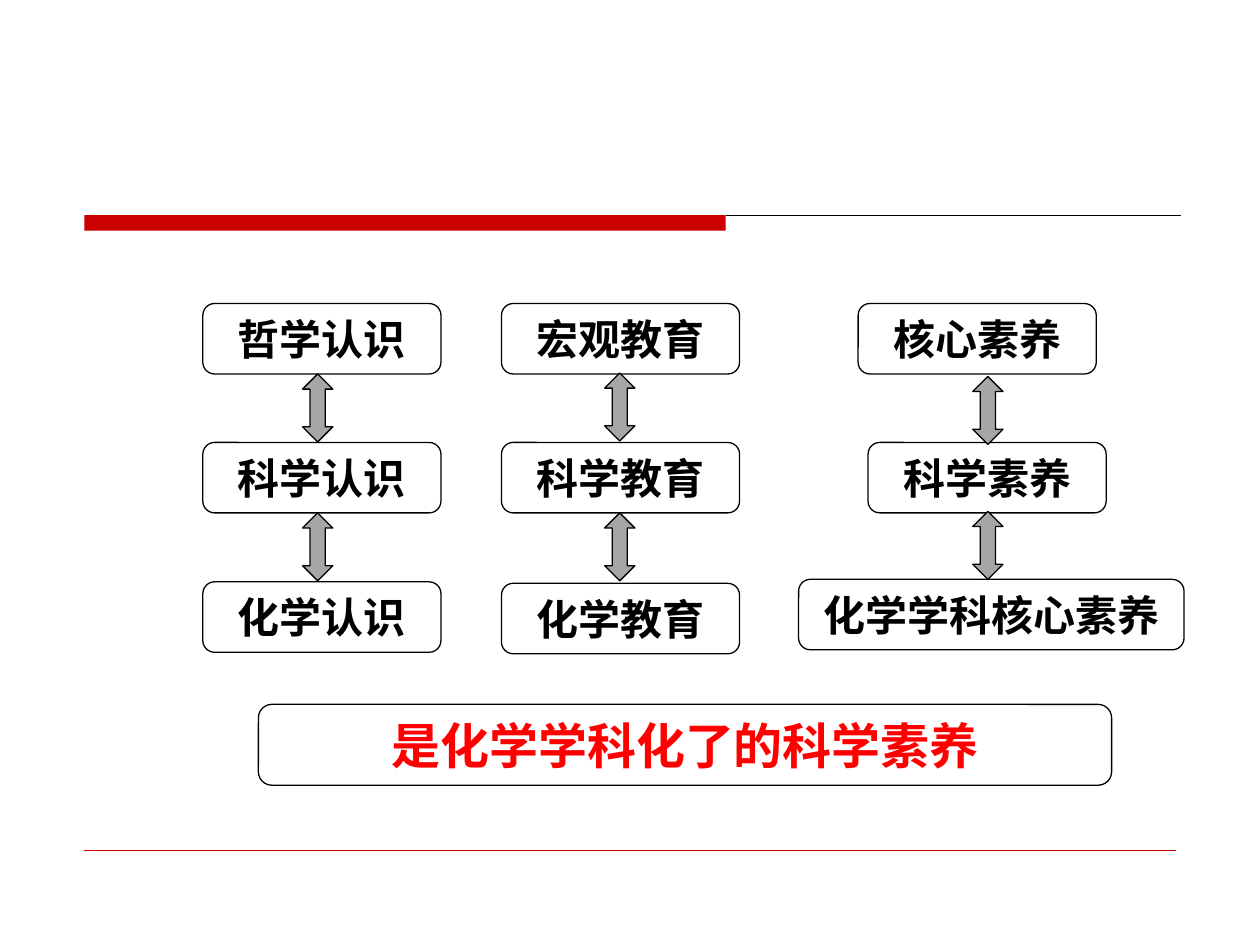
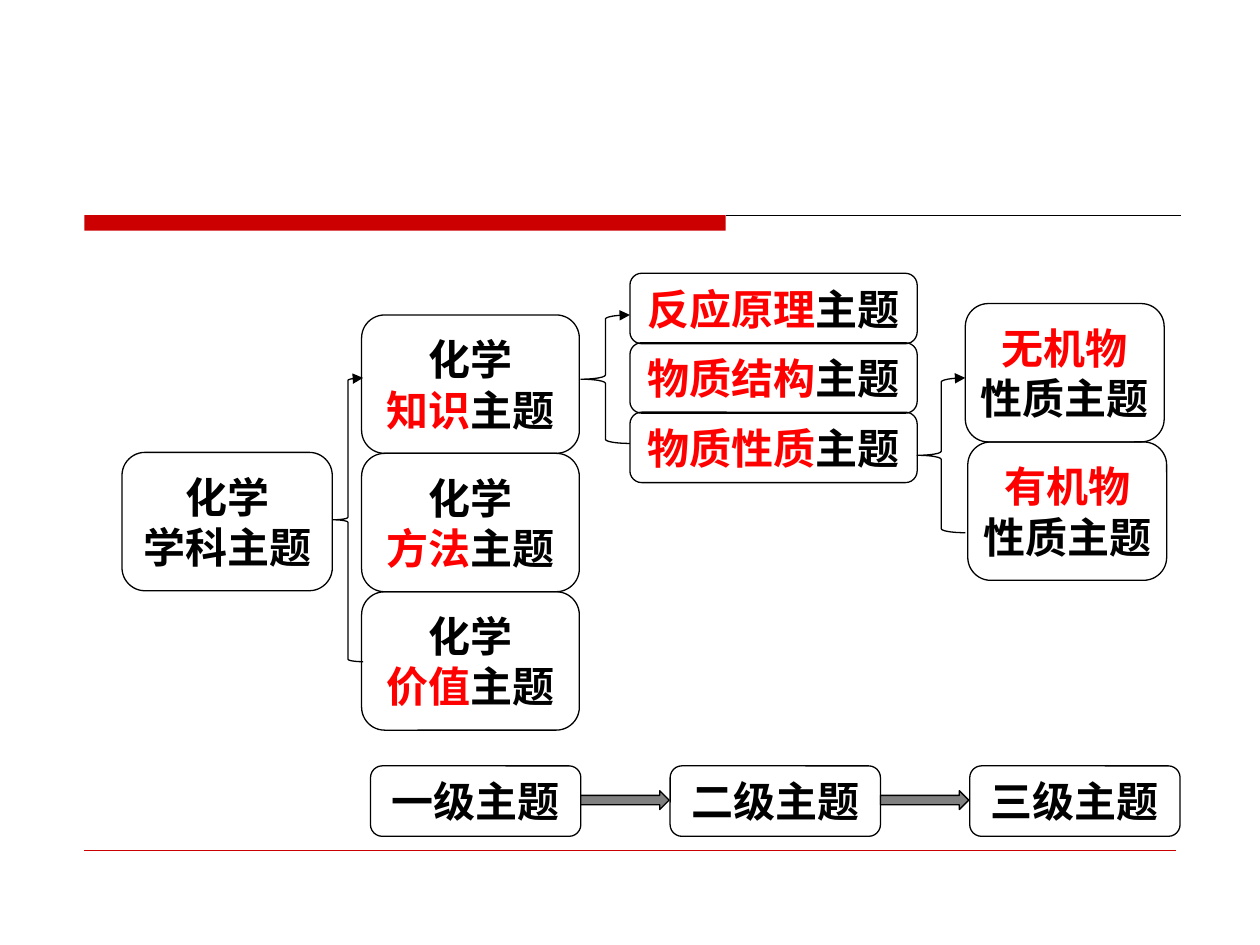
from dataclasses import dataclass

from lxml.etree import SubElement
from pptx import Presentation
from pptx.dml.color import RGBColor
from pptx.enum.shapes import MSO_CONNECTOR, MSO_SHAPE
from pptx.enum.text import MSO_ANCHOR, PP_ALIGN
from pptx.oxml.ns import qn
from pptx.util import Cm, Pt


@dataclass(frozen=True)
class Theme:
    font: str = "Noto Sans CJK SC"
    black: RGBColor = RGBColor(0x00, 0x00, 0x00)
    highlight: RGBColor = RGBColor(0xFF, 0x00, 0x00)
    band: RGBColor = RGBColor(0xCC, 0x00, 0x00)
    light_arrow: RGBColor = RGBColor(0xA6, 0xA6, 0xA6)
    dark_arrow: RGBColor = RGBColor(0x80, 0x80, 0x80)
    body_size: float = 24
    conclusion_size: float = 28
    outline: float = 0.75
    hairline: float = 0.25


class SlideBuilder:
    """Holds the style and the current slide."""

    def __init__(self, deck, theme):
        self.deck = deck
        self.theme = theme
        self.slide = None

    def new_slide(self):
        """Start a slide with the shared band and rules."""
        theme = self.theme
        self.slide = self.deck.slides.add_slide(self.deck.slide_layouts[6])
        self.rule(14.63, 23.8, 4.34, theme.black, theme.outline)
        band = self.shape(MSO_SHAPE.RECTANGLE, 1.7, 4.34, 12.93, 0.31, theme.band)
        band.line.fill.background()
        self.rule(1.7, 23.7, 17.15, theme.band, theme.hairline)

    def rule(self, left, right, top, color, width):
        line = self.slide.shapes.add_connector(
            MSO_CONNECTOR.STRAIGHT, Cm(left), Cm(top), Cm(right), Cm(top))
        line.line.color.rgb = color
        line.line.width = Pt(width)
        SubElement(line._element.spPr, qn("a:effectLst"))

    def shape(self, kind, left, top, width, height, fill=None):
        shape = self.slide.shapes.add_shape(
            kind, Cm(left), Cm(top), Cm(width), Cm(height))
        shape.shadow.inherit = False
        if fill is None:
            shape.fill.background()
        else:
            shape.fill.solid()
            shape.fill.fore_color.rgb = fill
        shape.line.color.rgb = self.theme.black
        shape.line.width = Pt(self.theme.outline)
        return shape

    def box(self, left, top, width, height, paragraphs, size=None):
        """Rounded box; each paragraph is a list of (text, color) runs."""
        box = self.shape(MSO_SHAPE.ROUNDED_RECTANGLE, left, top, width, height)
        frame = box.text_frame
        frame.word_wrap = True
        frame.vertical_anchor = MSO_ANCHOR.MIDDLE
        frame.margin_left = frame.margin_right = Cm(0.15)
        frame.margin_top = frame.margin_bottom = Cm(0.13)
        for index, runs in enumerate(paragraphs):
            para = frame.add_paragraph() if index else frame.paragraphs[0]
            para.alignment = PP_ALIGN.CENTER
            for text, color in runs:
                self.span(para, text, color, size or self.theme.body_size)

    def span(self, para, text, color, size):
        span = para.add_run()
        span.text = text
        span.font.name = self.theme.font
        span.font.size = Pt(size)
        span.font.bold = True
        span.font.color.rgb = color
        east_asian = SubElement(span._r.get_or_add_rPr(), qn("a:ea"))
        east_asian.set("typeface", self.theme.font)

    def brace(self, left, top, width, height):
        """Left brace whose upper tip carries an arrowhead."""
        brace = self.shape(MSO_SHAPE.LEFT_BRACE, left, top, width, height)
        SubElement(brace.line._get_or_add_ln(), qn("a:tailEnd")).set("type", "triangle")


def build_literacy_slide(page):
    theme = page.theme
    page.new_slide()

    # Three columns of boxes: text, left, top, width
    first, second, third = 6.12, 8.92, 11.73
    boxes = [
        ("哲学认识", 4.09, first, 4.8),
        ("科学认识", 4.09, second, 4.8),
        ("化学认识", 4.09, third, 4.8),
        ("宏观教育", 10.11, first, 4.8),
        ("科学教育", 10.11, second, 4.8),
        ("化学教育", 10.11, 11.76, 4.8),
        ("核心素养", 17.3, first, 4.8),
        ("科学素养", 17.5, second, 4.8),
        ("化学学科核心素养", 16.1, 11.68, 7.77),
    ]
    for text, left, top, width in boxes:
        page.box(left, top, width, 1.42, [[(text, theme.black)]])

    # Double arrows between the levels
    for left, tops in ((6.1, (7.54, 10.34)),
                       (12.19, (7.52, 10.34)),
                       (19.61, (7.59, 10.31))):
        for top in tops:
            page.shape(MSO_SHAPE.UP_DOWN_ARROW, left, top, 0.61, 1.37, theme.light_arrow)

    # Conclusion
    page.box(5.21, 14.2, 17.2, 1.63,
             [[("是化学学科化了的科学素养", theme.highlight)]], theme.conclusion_size)


def build_topics_slide(page):
    theme = page.theme
    black, red = theme.black, theme.highlight
    tall, low = 2.79, 1.42
    page.new_slide()

    # Root and first-level topics
    page.box(2.46, 9.12, 4.24, tall, [[("化学", black)], [("学科主题", black)]])
    for index, topic in enumerate(("知识", "方法", "价值")):
        page.box(7.29, 6.35 + index * tall, 4.39, tall,
                 [[("化学", black)], [(topic, red), ("主题", black)]])

    # Second-level topics
    for index, topic in enumerate(("反应原理", "物质结构", "物质性质")):
        page.box(12.7, 5.51 + index * 1.4, 5.79, low,
                 [[(topic, red), ("主题", black)]])

    # Third-level topics
    for index, topic in enumerate(("无机物", "有机物")):
        page.box(19.46 + index * 0.05, 6.12 + index * tall, 4.01, tall,
                 [[(topic, red)], [("性质主题", black)]])

    # Braces from each topic to its parts
    page.brace(6.71, 7.62, 0.61, 5.72)
    page.brace(11.71, 6.35, 0.99, 2.59)
    page.brace(18.49, 7.62, 0.97, 3.12)

    # Level names and the arrows between them
    for index, level in enumerate("一二三"):
        page.box(7.47 + index * 6.04, 15.44, 4.24, low, [[(level + "级主题", black)]])
    for left in (11.71, 17.75):
        page.shape(MSO_SHAPE.RIGHT_ARROW, left, 15.94, 1.78, 0.38, theme.dark_arrow)


def main():
    deck = Presentation()
    deck.slide_width = Cm(25.4)
    deck.slide_height = Cm(19.05)
    page = SlideBuilder(deck, Theme())
    build_literacy_slide(page)
    build_topics_slide(page)
    deck.save("out.pptx")


if __name__ == "__main__":
    main()
